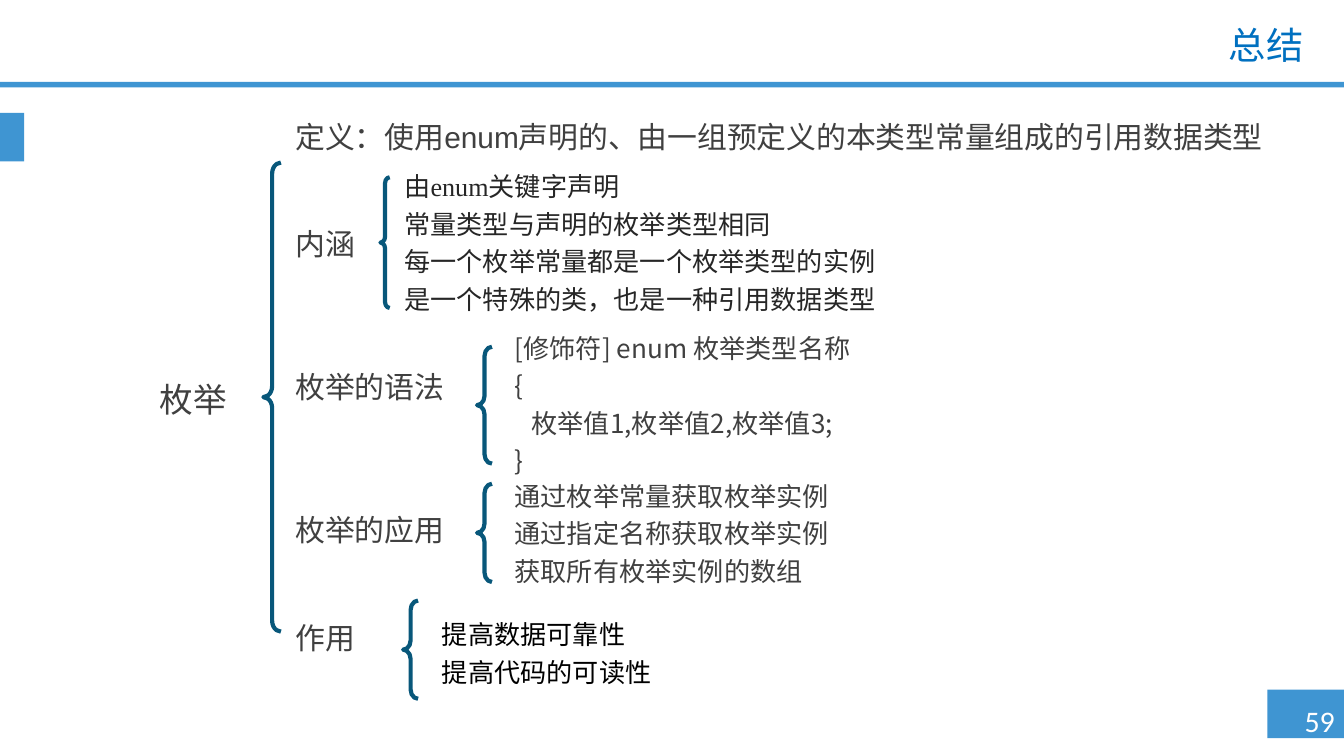
from pptx import Presentation
from pptx.dml.color import RGBColor
from pptx.enum.shapes import MSO_SHAPE
from pptx.enum.text import MSO_ANCHOR, PP_ALIGN
from pptx.oxml.ns import qn
from pptx.util import Pt

RECT, BRACE = MSO_SHAPE.RECTANGLE, MSO_SHAPE.LEFT_BRACE
MIDDLE = MSO_ANCHOR.MIDDLE
LEFT, CENTER, RIGHT = PP_ALIGN.LEFT, PP_ALIGN.CENTER, PP_ALIGN.RIGHT
CJK = "Noto Sans CJK SC"
BLUE, TITLE, NAVY = "3F95D2", "0070C0", "08577A"
GREY, DARK, BLACK, WHITE = "404040", "262626", "000000", "FFFFFF"
LINE_H = 20
ROW_H = 19.17
TOPICS = [
    (0, "定义：使用enum声明的、由一组预定义的本类型常量组成的引用数据类型"),
    (3, "内涵"),
    (7, "枚举的语法"),
    (11, "枚举的应用"),
    (14, "作用"),
]
DETAILS = [
    ((203.8, 95, 5, 70), (209.5, 128.3), "Times New Roman", DARK,
     ["由enum关键字声明", "常量类型与声明的枚举类型相同",
      "每一个枚举常量都是一个枚举类型的实例", "是一个特殊的类，也是一种引用数据类型"]),
    ((255.6, 185.8, 8, 62.6), (268.6, 214.8), CJK, GREY,
     ["[修饰符] enum 枚举类型名称", "{", "\t枚举值1,枚举值2,枚举值3;", "}"]),
    ((255.6, 259.2, 8, 52.6), (268.6, 284.2), CJK, GREY,
     ["通过枚举常量获取枚举实例", "通过指定名称获取枚举实例", "获取所有枚举实例的数组"]),
    ((216, 321.8, 8, 52.6), (229.7, 348.2), CJK, BLACK,
     ["提高数据可靠性", "提高代码的可读性"]),
]


def color(value):
    """Return the colour for a hex string."""
    return RGBColor.from_string(value)


def place(sp, box):
    """Move a shape to a box of left, top, width and height in points."""
    sp.left, sp.top, sp.width, sp.height = (Pt(v) for v in box)


def write(sp, lines, size=16, font="Arial", fill=GREY, align=LEFT, spacing=None):
    """Write lines into a shape, indenting those that start with a tab."""
    tf = sp.text_frame
    tf.word_wrap = True
    tf.vertical_anchor = MIDDLE
    tf.margin_top = tf.margin_bottom = 0
    for i, line in enumerate(lines):
        p = tf.paragraphs[0] if i == 0 else tf.add_paragraph()
        p.alignment = align
        if spacing:
            p.line_spacing = spacing
        if line.startswith("\t"):
            p._p.get_or_add_pPr().set("marL", str(Pt(9)))
        r = p.add_run()
        r.text = line.strip()
        r.font.size = Pt(size)
        r.font.name = font
        r.font.color.rgb = color(fill)
        ea = r._r.get_or_add_rPr().makeelement(qn("a:ea"), {"typeface": CJK})
        r.font._element.find(qn("a:latin")).addnext(ea)


def text(s, box, lines, **fmt):
    """Add a text box."""
    write(s.shapes.add_textbox(*(Pt(v) for v in box)), lines, **fmt)


def bar(s, box):
    """Add a plain blue rectangle."""
    sp = s.shapes.add_shape(RECT, *(Pt(v) for v in box))
    sp.shadow.inherit = False
    sp.fill.solid()
    sp.fill.fore_color.rgb = color(BLUE)
    sp.line.fill.background()


def brace(s, box):
    """Add a left brace."""
    sp = s.shapes.add_shape(BRACE, *(Pt(v) for v in box))
    sp.shadow.inherit = False
    sp.adjustments[0] = 0.62
    sp.fill.background()
    sp.line.color.rgb = color(NAVY)
    sp.line.width = Pt(2.25)


def frame(s, width):
    """Add the title, the coloured bars and the page number."""
    bar(s, (679, 369.4, width - 679, 26))
    bar(s, (0, 43.9, width, 2.9))
    bar(s, (0, 60.5, 13, 26))
    text(s, (687, 373, 40, 26), ["59"], font="Calibri", fill=WHITE, align=CENTER)
    place(s.shapes.title, (172.8, 10.8, 532.8, 28.8))
    write(s.shapes.title, ["总结"], size=20, fill=TITLE, align=RIGHT, spacing=0.9)


def topics(s, box):
    """Add the root, its brace and the topics on their rows."""
    x, y, w, h = box
    text(s, (71.3, 199.4, 64.8, 28.8), ["枚举"], size=18, align=CENTER)
    brace(s, (x - 10.1, 87.1, 9.4, 251.3))
    for row, label in TOPICS:
        text(s, (x, y + row * ROW_H, w, h), [label])


def detail(s, brace_box, anchor, font, fill, lines):
    """Add a brace and its lines, centred on the anchor's height."""
    x, mid = anchor
    h = LINE_H * len(lines)
    brace(s, brace_box)
    text(s, (x, mid - h / 2, 300, h), lines, size=14, font=font, fill=fill,
         spacing=Pt(LINE_H))


def main():
    """Build and save the slide."""
    prs = Presentation()
    prs.slide_width, prs.slide_height = Pt(720), Pt(405)
    s = prs.slides.add_slide(prs.slide_layouts[5])
    frame(s, 720)
    topics(s, (151.2, 61, 551.5, 24))
    for item in DETAILS:
        detail(s, *item)
    prs.save("out.pptx")


if __name__ == "__main__":
    main()
